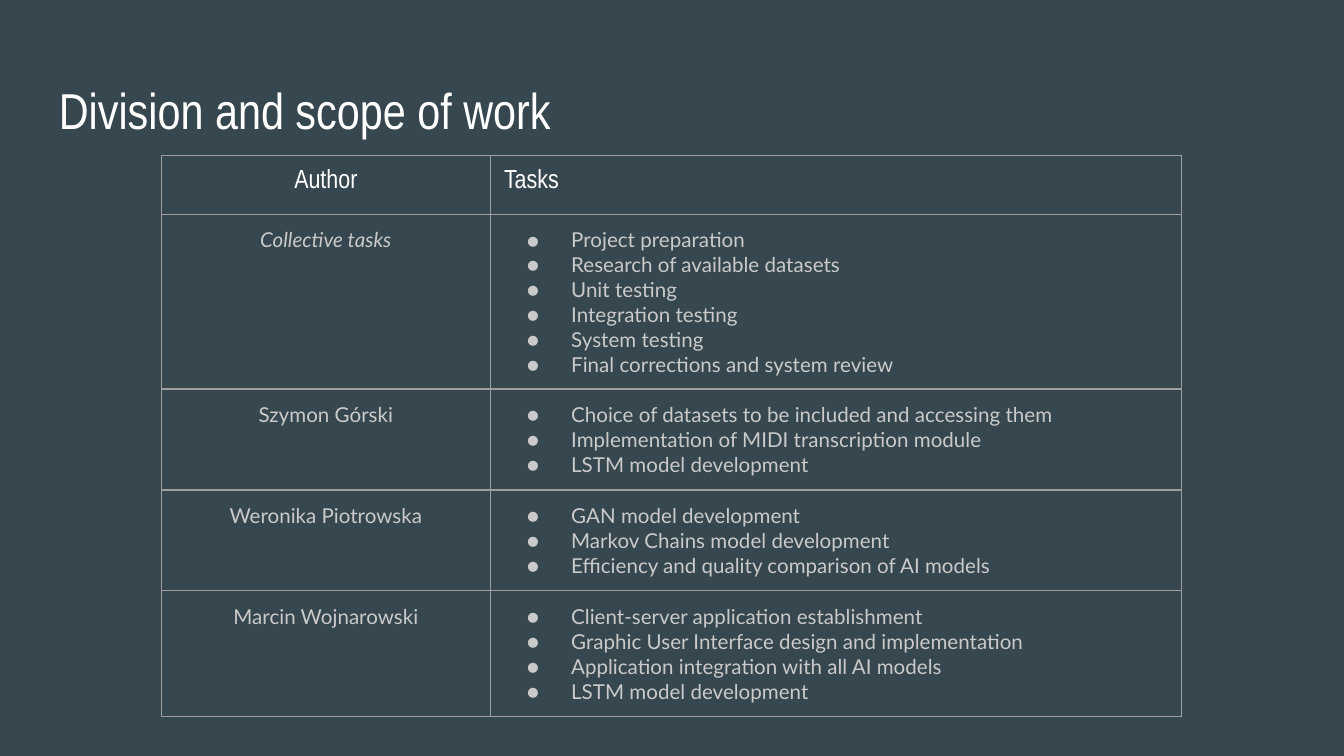
from dataclasses import dataclass

from lxml.etree import SubElement
from pptx import Presentation
from pptx.dml.color import RGBColor
from pptx.enum.text import MSO_ANCHOR, PP_ALIGN
from pptx.oxml.ns import qn
from pptx.util import Inches, Pt

BACKGROUND, WHITE, GREY, BORDER = "37474F", "FFFFFF", "CACACA", "9E9E9E"
HEADING_FONT, BODY_FONT = "Arial Narrow", "Lato"
INSET = 0.1
ROW_HEIGHT, TABLE_HEIGHT = 0.42, 4.17
COLUMN_WIDTHS = (2.45, 5.14)


@dataclass(frozen=True)
class TextStyle:
    font: str
    size: float
    color: str
    italic: bool = False


@dataclass(frozen=True)
class Assignment:
    author: str
    tasks: tuple[str, ...]
    collective: bool = False


TITLE = TextStyle(HEADING_FONT, 27, WHITE)
HEADER = TextStyle(HEADING_FONT, 14, WHITE)
BODY = TextStyle(BODY_FONT, 11, GREY)
BODY_ITALIC = TextStyle(BODY_FONT, 11, GREY, italic=True)

ASSIGNMENTS = (
    Assignment("Collective tasks", (
        "Project preparation",
        "Research of available datasets",
        "Unit testing",
        "Integration testing",
        "System testing",
        "Final corrections and system review",
    ), collective=True),
    Assignment("Szymon Górski", (
        "Choice of datasets to be included and accessing them",
        "Implementation of MIDI transcription module",
        "LSTM model development",
    )),
    Assignment("Weronika Piotrowska", (
        "GAN model development",
        "Markov Chains model development",
        "Efficiency and quality comparison of AI models",
    )),
    Assignment("Marcin Wojnarowski", (
        "Client-server application establishment",
        "Graphic User Interface design and implementation",
        "Application integration with all AI models",
        "LSTM model development",
    )),
)


def rgb(color: str) -> RGBColor:
    return RGBColor.from_string(color)


def set_insets(target) -> None:
    """Give a cell or a text frame the same inset on every side."""
    for side in ("left", "top", "right", "bottom"):
        setattr(target, f"margin_{side}", Inches(INSET))


def style_runs(paragraph, style: TextStyle) -> None:
    for run in paragraph.runs:
        run.font.name = style.font
        run.font.size = Pt(style.size)
        run.font.color.rgb = rgb(style.color)
        run.font.italic = style.italic
        run.font.bold = False


def add_bullet(paragraph) -> None:
    properties = paragraph._p.get_or_add_pPr()
    properties.set("marL", str(Inches(0.5)))
    properties.set("indent", str(Inches(-0.33)))
    bullet_color = SubElement(properties, qn("a:buClr"))
    SubElement(bullet_color, qn("a:srgbClr"), val=GREY)
    SubElement(properties, qn("a:buFont"), typeface=BODY_FONT)
    SubElement(properties, qn("a:buChar"), char="●")


def add_borders(cell) -> None:
    properties = cell._tc.get_or_add_tcPr()
    for index, side in enumerate("LRTB"):
        line = SubElement(properties, qn(f"a:ln{side}"), w=str(Pt(0.75)))
        fill = SubElement(line, qn("a:solidFill"))
        SubElement(fill, qn("a:srgbClr"), val=BORDER)
        properties.insert(index, line)


def fill_cell(cell, lines: tuple[str, ...], style: TextStyle,
              alignment: PP_ALIGN = PP_ALIGN.LEFT, bulleted: bool = False) -> None:
    set_insets(cell)
    cell.fill.background()
    add_borders(cell)
    cell.text_frame.text = "\n".join(lines)
    for paragraph in cell.text_frame.paragraphs:
        paragraph.alignment = alignment
        if bulleted:
            add_bullet(paragraph)
        style_runs(paragraph, style)


def add_title(slide, text: str) -> None:
    shape = slide.shapes.add_textbox(Inches(0.34), Inches(0.49), Inches(9.32), Inches(0.63))
    text_frame = shape.text_frame
    text_frame.word_wrap = True
    text_frame.vertical_anchor = MSO_ANCHOR.TOP
    set_insets(text_frame)
    text_frame.text = text
    style_runs(text_frame.paragraphs[0], TITLE)


def add_work_table(slide) -> None:
    """Add the table with minimum row heights; rows grow with their tasks."""
    frame = slide.shapes.add_table(
        len(ASSIGNMENTS) + 1, len(COLUMN_WIDTHS), Inches(1.2), Inches(1.16),
        Inches(sum(COLUMN_WIDTHS)), Inches(TABLE_HEIGHT))
    table = frame.table
    table.first_row = table.horz_banding = False
    for column, width in zip(table.columns, COLUMN_WIDTHS):
        column.width = Inches(width)
    for row in table.rows:
        row.height = Inches(ROW_HEIGHT)
    frame.height = Inches(TABLE_HEIGHT)

    fill_cell(table.cell(0, 0), ("Author",), HEADER, PP_ALIGN.CENTER)
    fill_cell(table.cell(0, 1), ("Tasks",), HEADER)
    for index, assignment in enumerate(ASSIGNMENTS, start=1):
        author_style = BODY_ITALIC if assignment.collective else BODY
        fill_cell(table.cell(index, 0), (assignment.author,), author_style, PP_ALIGN.CENTER)
        fill_cell(table.cell(index, 1), assignment.tasks, BODY, bulleted=True)


def main() -> None:
    presentation = Presentation()
    presentation.slide_width = Inches(10)
    presentation.slide_height = Inches(10) * 9 // 16
    slide = presentation.slides.add_slide(presentation.slide_layouts[6])
    slide.background.fill.solid()
    slide.background.fill.fore_color.rgb = rgb(BACKGROUND)
    add_title(slide, "Division and scope of work")
    add_work_table(slide)
    presentation.save("out.pptx")


if __name__ == "__main__":
    main()
